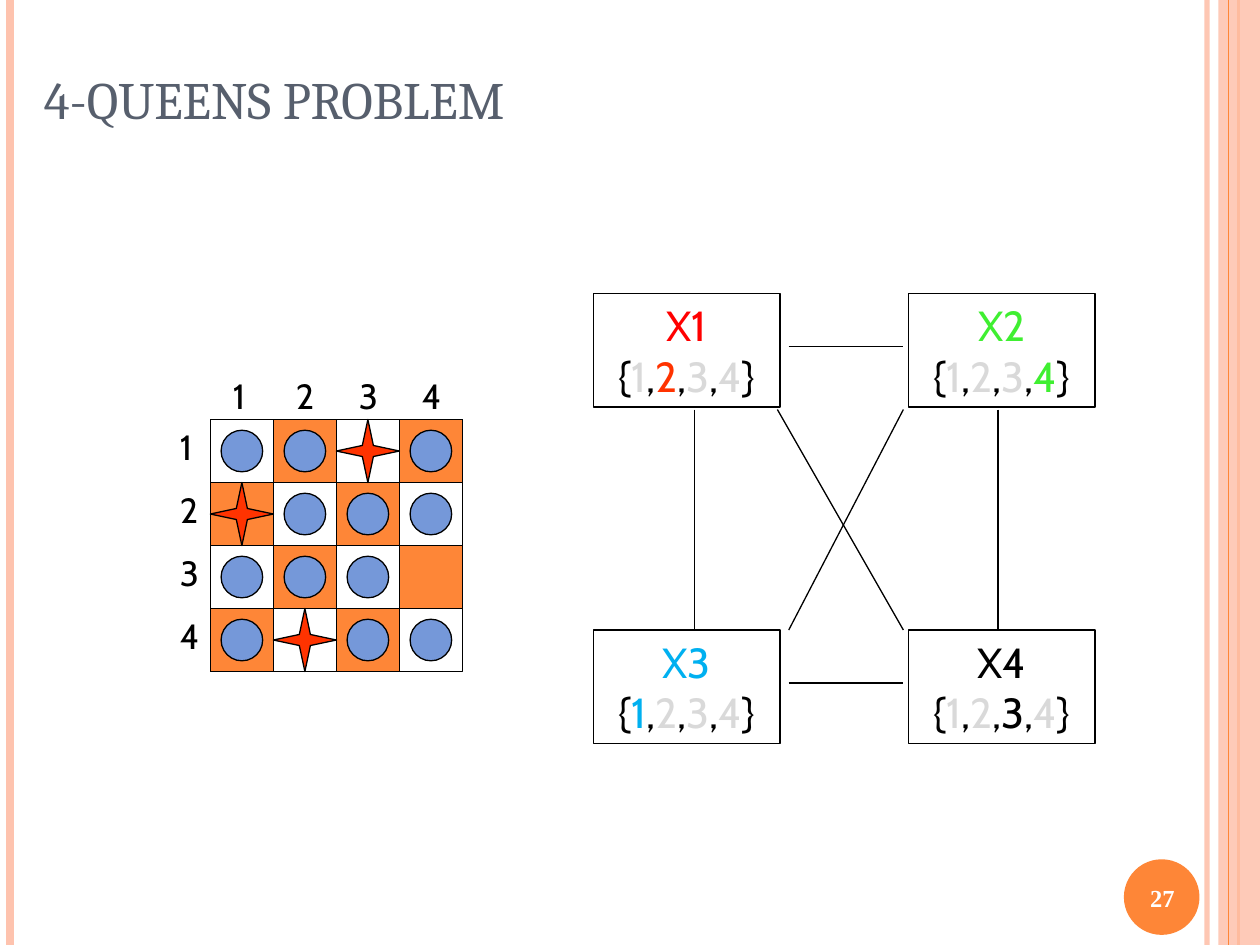
from itertools import product

from lxml.etree import SubElement
from pptx import Presentation
from pptx.dml.color import RGBColor
from pptx.enum.shapes import MSO_CONNECTOR, MSO_SHAPE
from pptx.enum.text import MSO_ANCHOR as ANCHOR, MSO_AUTO_SIZE as AUTOSIZE, PP_ALIGN as ALIGN
from pptx.oxml.ns import qn
from pptx.util import Inches, Pt

hex_color = RGBColor.from_string
BLACK, ORANGE, PEACH, GREY = "000000", "FE8637", "FEC3AE", "D9D9D9"
QUEEN_RED, BLUE = "FF3300", "7598D9"


def paint(item, fill=None, line=None, width=0.75, opacity=None):
    """Set fill, line and opacity of a shape or connector, without shadow."""
    if fill:
        item.fill.solid()
        item.fill.fore_color.rgb = hex_color(fill)
    elif hasattr(item, "fill"):
        item.fill.background()
    if line:
        item.line.color.rgb = hex_color(line)
        item.line.width = Pt(width)
    else:
        item.line.fill.background()
    properties = item._element.spPr
    if hasattr(item, "shadow"):
        item.shadow.inherit = False
    else:
        SubElement(properties, qn("a:effectLst"))
    if opacity:
        for color in properties.iter(qn("a:srgbClr")):
            SubElement(color, qn("a:alpha"), val=str(opacity * 1000))


def write(item, lines, frame_format, font_format, align=ALIGN.LEFT):
    """Fill a shape with lines, each a list of (text, colour) pieces."""
    frame = item.text_frame
    for name, value in frame_format.items():
        setattr(frame, name, value)
    for number, pieces in enumerate(lines):
        paragraph = frame.add_paragraph() if number else frame.paragraphs[0]
        paragraph.alignment = align
        for text, color in pieces:
            run = paragraph.add_run()
            run.text = text
            run.font.color.rgb = hex_color(color)
            for name, value in font_format.items():
                setattr(run.font, name, value)


deck = Presentation()
deck.slide_width, deck.slide_height = Inches(10), Inches(7.5)
slide = deck.slides.add_slide(deck.slide_layouts[6])
shapes = slide.shapes

# Side rails: x, colour, width, opacity
rails = [(9.58, PEACH, 3, 93), (0.08, PEACH, 4.5, None),
         (9.83, ORANGE, 1.5, None), (9.75, ORANGE, 0.75, None)]
for x, color, width, opacity in rails:
    if x == 9.75:  # the band lies below the last rail
        band = shapes.add_shape(MSO_SHAPE.RECTANGLE, Inches(9.67), 0, Inches(0.33), Inches(7.5))
        paint(band, PEACH, opacity=87)
    rail = shapes.add_connector(MSO_CONNECTOR.STRAIGHT, Inches(x), 0, Inches(x), Inches(7.5))
    paint(rail, line=color, width=width, opacity=opacity)

# Title
title = shapes.add_textbox(Inches(0.25), Inches(0.3), Inches(8.83), Inches(0.78))
write(title, [[("4-QUEENS PROBLEM", "575F6D")]],
      {"word_wrap": True, "vertical_anchor": ANCHOR.BOTTOM},
      {"name": "Cambria", "size": Pt(30)})

# Chessboard
board_x, board_y, cell = 1.67, 3.33, 0.5
board = shapes.add_shape(MSO_SHAPE.RECTANGLE, Inches(board_x), Inches(board_y),
                         Inches(4 * cell), Inches(4 * cell))
paint(board, line=BLACK)
squares = list(product(range(4), repeat=2))
for row, column in squares:
    if (row + column) % 2:
        square = shapes.add_shape(MSO_SHAPE.RECTANGLE, Inches(board_x + column * cell),
                                  Inches(board_y + row * cell), Inches(cell), Inches(cell))
        paint(square, ORANGE, BLACK)

# Row and column numbers
fit = {"word_wrap": False, "auto_size": AUTOSIZE.SHAPE_TO_FIT_TEXT}
for i in range(4):
    for x, y in [(1.33, board_y + i * cell), (1.75 + i * cell, 2.92)]:
        number = shapes.add_textbox(Inches(x), Inches(y), Inches(0.36), Inches(0.44))
        write(number, [[(str(i + 1), BLACK)]], fit, {"name": "Cabin", "size": Pt(20)})

# Queens as stars, ruled-out squares as discs
queens, free_square = [(0, 2), (1, 0), (3, 1)], (2, 3)
tip, notch, disc = cell / 2, 0.044, 0.33
star = [(-tip, 0), (-notch, -notch), (0, -tip), (notch, -notch),
        (tip, 0), (notch, notch), (0, tip), (-notch, notch)]
for row, column in squares:
    x, y = board_x + (column + 0.5) * cell, board_y + (row + 0.5) * cell
    if (row, column) in queens:
        points = [(Inches(x + dx), Inches(y + dy)) for dx, dy in star]
        outline = shapes.build_freeform(*points[0])
        outline.add_line_segments(points[1:], close=True)
        paint(outline.convert_to_shape(), QUEEN_RED, BLACK)
    elif (row, column) != free_square:
        ruled_out = shapes.add_shape(MSO_SHAPE.OVAL, Inches(x - disc / 2), Inches(y - disc / 2),
                                     Inches(disc), Inches(disc))
        paint(ruled_out, BLUE, BLACK)

# Variables: name, left, top, name colour, chosen value, value colour
variables = [("X1", 4.71, 2.33, "FF0000", "2", QUEEN_RED),
             ("X2", 7.21, 2.33, "3FEF31", "4", "3FEF31"),
             ("X3", 4.71, 5, "00B0F0", "1", "00B0F0"),
             ("X4", 7.21, 5, BLACK, "3", BLACK)]
for name, x, y, name_color, chosen, chosen_color in variables:
    domain = [(mark, chosen_color if mark == chosen else GREY if mark.isdigit() else BLACK)
              for mark in "{1,2,3,4}"]
    variable = shapes.add_shape(MSO_SHAPE.RECTANGLE, Inches(x), Inches(y), Inches(1.48), Inches(0.9))
    paint(variable, line=BLACK)
    write(variable, [[(name, name_color)], domain], {**fit, "vertical_anchor": ANCHOR.TOP},
          {"name": "Cabin", "size": Pt(24)}, ALIGN.CENTER)

# Constraints between the variables
constraints = [(6.26, 2.75, 7.17, 2.75), (5.51, 3.25, 5.51, 5), (6.26, 5.42, 7.17, 5.42),
               (7.92, 3.25, 7.92, 5), (6.17, 3.25, 7.17, 5), (7.17, 3.25, 6.26, 5)]
for ends in constraints:
    constraint = shapes.add_connector(MSO_CONNECTOR.STRAIGHT, *map(Inches, ends))
    paint(constraint, line=BLACK)

# Page number on its disc
badge = shapes.add_shape(MSO_SHAPE.OVAL, Inches(8.92), Inches(6.82), Inches(0.6), Inches(0.6))
paint(badge, ORANGE)
page_number = shapes.add_textbox(Inches(8.89), Inches(6.84), Inches(0.67), Inches(0.57))
write(page_number, [[("27", "FFFFFF")]],
      {"word_wrap": True, "vertical_anchor": ANCHOR.MIDDLE},
      {"name": "Times New Roman", "size": Pt(14), "bold": True}, ALIGN.CENTER)

deck.save("out.pptx")
